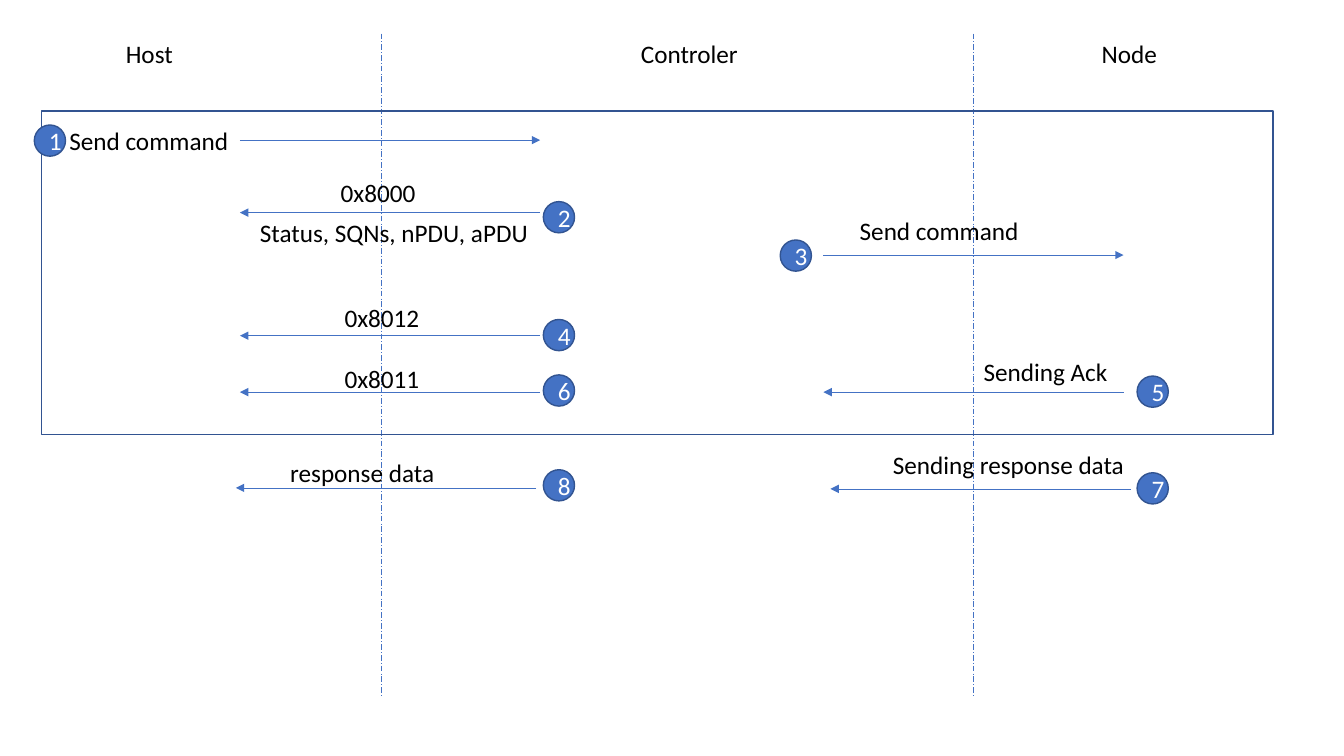
from dataclasses import dataclass

from lxml import etree
from pptx import Presentation
from pptx.dml.color import RGBColor
from pptx.enum import dml, shapes, text
from pptx.oxml import ns
from pptx.util import Pt


@dataclass(frozen=True)
class Theme:
    """Colours, type and line weights of the slide."""
    font: str = "Calibri"
    size: float = 18
    ink: str = "000000"
    blue: str = "4472C4"
    edge: str = "325491"
    white: str = "FFFFFF"
    thin: float = 0.5
    border: float = 1


T = Theme()
LABEL_H = 29
BADGE = 22.3


def write(tf, content, color=T.ink, align=text.PP_ALIGN.LEFT, wrap=False):
    """Put one formatted line of text in a text frame."""
    tf.word_wrap = wrap
    p = tf.paragraphs[0]
    p.alignment = align
    r = p.add_run()
    r.text = content
    r.font.name = T.font
    r.font.size = Pt(T.size)
    r.font.color.rgb = RGBColor.from_string(color)


def add_label(s, content, x, y, w):
    """Add a text box that does not wrap."""
    sp = s.shapes.add_textbox(Pt(x), Pt(y), Pt(w), Pt(LABEL_H))
    write(sp.text_frame, content)
    sp.text_frame.auto_size = text.MSO_AUTO_SIZE.SHAPE_TO_FIT_TEXT


def add_line(s, x1, y1, x2, y2, dash=None, arrow=False):
    """Add a thin line, dashed or with an arrowhead at its end."""
    c = s.shapes.add_connector(shapes.MSO_CONNECTOR.STRAIGHT,
                               Pt(x1), Pt(y1), Pt(x2), Pt(y2))
    c.line.color.rgb = RGBColor.from_string(T.blue)
    c.line.width = Pt(T.thin)
    if dash:
        c.line.dash_style = dash
    if arrow:
        etree.SubElement(c.line._get_or_add_ln(), ns.qn("a:tailEnd"), type="triangle")
    etree.SubElement(c._element.spPr, ns.qn("a:effectLst"))


def add_outlined(s, kind, x, y, w, h, fill=None):
    """Add a bordered preset shape and return it."""
    sp = s.shapes.add_shape(kind, Pt(x), Pt(y), Pt(w), Pt(h))
    sp.shadow.inherit = False
    sp.line.color.rgb = RGBColor.from_string(T.edge)
    sp.line.width = Pt(T.border)
    if fill:
        sp.fill.solid()
        sp.fill.fore_color.rgb = RGBColor.from_string(fill)
    else:
        sp.fill.background()
    return sp


def add_badge(s, number, x, y):
    """Add a numbered step circle."""
    sp = add_outlined(s, shapes.MSO_SHAPE.OVAL, x, y, BADGE, BADGE, T.blue)
    sp.text_frame.vertical_anchor = text.MSO_ANCHOR.MIDDLE
    write(sp.text_frame, str(number), T.white, text.PP_ALIGN.CENTER, wrap=True)


def draw_lanes(s, x, y, w, h, headings, dividers):
    """Draw lane headings along the top of the box and full-height dividers."""
    for dx in dividers:
        add_line(s, x + dx, y, x + dx, y + h, dash=dml.MSO_LINE.LONG_DASH_DOT)
    for content, dx, width in headings:
        add_label(s, content, x + dx, y, width)


def draw_exchange(s, x, y, w, messages):
    """Draw messages between two lanes; each has a step, arrow and labels."""
    for step, (bx, by), to_right, (ax, ay), labels in messages:
        ends = (x + ax, x + ax + w)
        start, end = ends if to_right else ends[::-1]
        add_line(s, start, y + ay, end, y + ay, arrow=True)
        for content, lx, ly, width in labels:
            add_label(s, content, x + lx, y + ly, width)
        add_badge(s, step, x + bx, y + by)


# Step, badge offset, points right, arrow offset, labels (text, x, y, width)
HOST_MESSAGES = [
    (1, (-146.9, 10.1), True, (0, 20.9), [("Send command", -128.9, 6.5, 129.6)]),
    (2, (216.7, 64.8), False, (0, 72.7), [("0x8000", 64.8, 43.9, 72.7),
                                          ("Status, SQNs, nPDU, aPDU", 7.2, 72.7, 208)]),
    (4, (216.7, 149), False, (0, 160.6), [("0x8012", 67.6, 133.2, 72.7)]),
    (6, (216.7, 188.6), False, (0, 200.9), [("0x8011", 67.6, 176.4, 72.7)]),
    (8, (216.7, 256.3), False, (-2.9, 269.3), [("response data", 28.8, 244.1, 118.8)]),
]
NODE_MESSAGES = [
    (3, (-30.9, 92.2), True, (0, 103), [("Send command", 18.8, 71.3, 129.6)]),
    (5, (224, 189.4), False, (0, 200.9), [("Sending Ack", 107.3, 171.4, 103.7)]),
    (7, (224, 258.5), False, (5, 270), [("Sending response data", 42.5, 238.3, 181.4)]),
]
HEADINGS = [("Host", 82.8, 48.2), ("Controler", 450.7, 84.2), ("Node", 779.8, 54.7)]


def main():
    """Build and save the sequence slide."""
    prs = Presentation()
    prs.slide_width, prs.slide_height = Pt(960), Pt(540)
    s = prs.slides.add_slide(prs.slide_layouts[6])
    frame_top = 79.2
    draw_lanes(s, 0, 24, 960, 474.5, HEADINGS, dividers=(272.7, 695.5))
    add_outlined(s, shapes.MSO_SHAPE.RECTANGLE, 29.5, frame_top, 879.8, 231.1)
    draw_exchange(s, 171.4, frame_top, 214.4, HOST_MESSAGES)
    draw_exchange(s, 588.2, frame_top, 214.4, NODE_MESSAGES)
    prs.save("out.pptx")


main()
